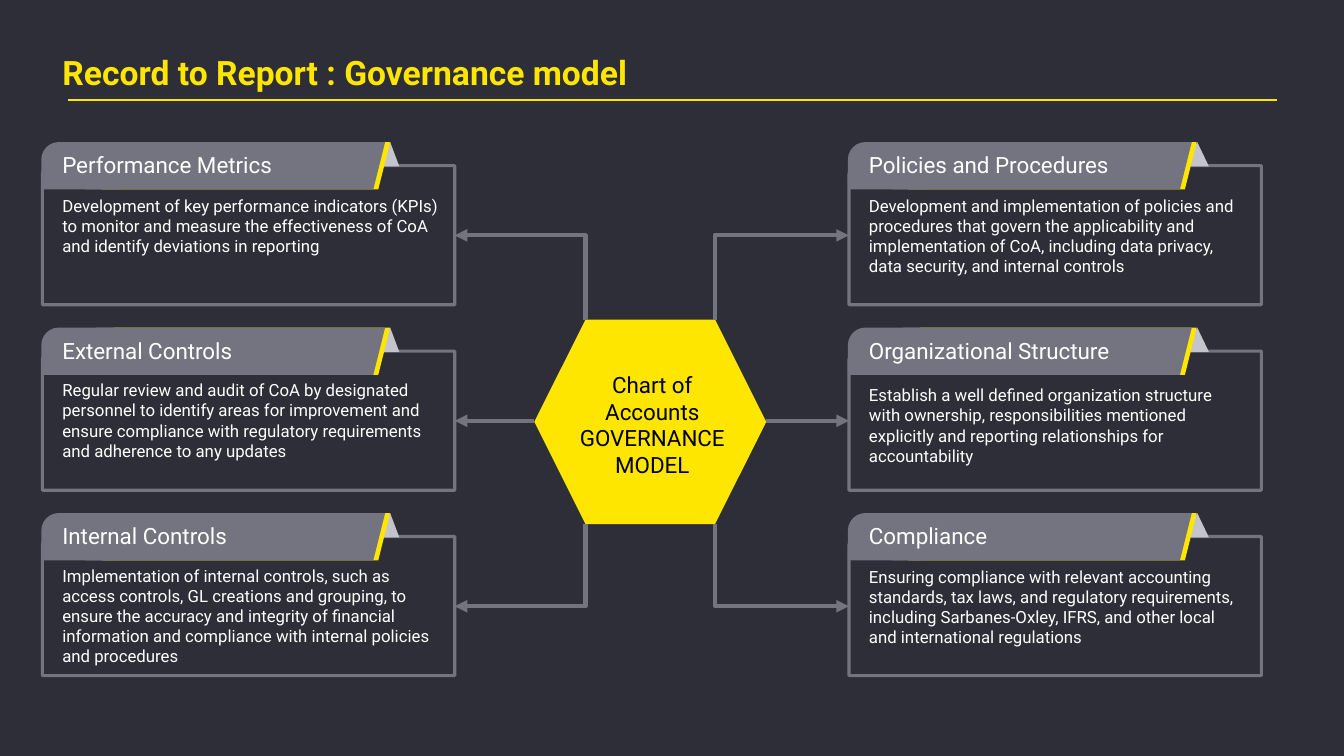
import pptx
import pptx.dml.color
import pptx.enum.shapes
import pptx.enum.text
import pptx.oxml
import pptx.oxml.ns
import pptx.util

SHAPES = pptx.enum.shapes.MSO_SHAPE
CONNECTORS = pptx.enum.shapes.MSO_CONNECTOR
CENTER = pptx.enum.text.PP_ALIGN.CENTER
YELLOW, GRAY, SILVER = "FFE600", "747480", "C4C4CD"
DARK, WHITE, BLACK = "2E2E38", "FFFFFF", "000000"


def color(value):
    return pptx.dml.color.RGBColor.from_string(value)


class SlideBuilder:
    """Places styled elements on a grid whose cells are a tenth of an inch."""

    font_name = "Roboto"

    def __init__(self, presentation):
        self.slide = presentation.slides.add_slide(presentation.slide_layouts[6])
        self.slide.background.fill.solid()
        self.slide.background.fill.fore_color.rgb = color(DARK)

    def grid(self, *cells):
        return [pptx.util.Inches(cell / 10) for cell in cells]

    def shape(self, kind, column, row, columns, rows, fill=None, outline=None, adjustments=()):
        shape = self.slide.shapes.add_shape(kind, *self.grid(column, row, columns, rows))
        shape.shadow.inherit = False
        for index, value in enumerate(adjustments):
            shape.adjustments[index] = value
        if fill:
            shape.fill.solid()
            shape.fill.fore_color.rgb = color(fill)
        else:
            shape.fill.background()
        if outline:
            shape.line.color.rgb = color(outline)
            shape.line.width = pptx.util.Pt(2.25)
        else:
            shape.line.fill.background()

    def text(self, words, column, row, columns, rows, size, fill=WHITE,
             bold=False, inset=True, alignment=None):
        box = self.slide.shapes.add_textbox(*self.grid(column, row, columns, rows))
        frame = box.text_frame
        frame.word_wrap = True
        if not inset:
            frame.margin_left = frame.margin_right = 0
            frame.margin_top = frame.margin_bottom = 0
        paragraph = frame.paragraphs[0]
        paragraph.alignment = alignment
        run = paragraph.add_run()
        run.text = words
        run.font.name = self.font_name
        run.font.size = pptx.util.Pt(size)
        run.font.bold = bold
        run.font.color.rgb = color(fill)

    def line(self, start, end, fill, width, bent=False, arrow=False):
        """Draw a line; a bent one runs level first, and the arrowhead is at start."""
        kind = CONNECTORS.ELBOW if bent else CONNECTORS.STRAIGHT
        connector = self.slide.shapes.add_connector(kind, *self.grid(*start, *end))
        connector.line.color.rgb = color(fill)
        connector.line.width = pptx.util.Pt(width)
        properties = connector._element.spPr
        if bent:
            properties.find(pptx.oxml.ns.qn("a:prstGeom")).set("prst", "bentConnector2")
        if arrow:
            head = pptx.oxml.parse_xml(
                f'<a:headEnd {pptx.oxml.ns.nsdecls("a")} type="triangle"/>')
            properties.find(pptx.oxml.ns.qn("a:ln")).append(head)
        properties.append(pptx.oxml.parse_xml(
            f'<a:effectLst {pptx.oxml.ns.nsdecls("a")}/>'))

    def card(self, column, row, fold, heading, body, body_drop):
        """Draw an outlined card with a folded heading tab; fold is (offset, width)."""
        self.shape(SHAPES.SNIP_ROUND_RECTANGLE, column + 0.1, row + 2.33, 40.9, 13.8,
                   outline=GRAY, adjustments=(0.062, 0))
        self.shape(SHAPES.ISOSCELES_TRIANGLE, column + fold[0], row, fold[1], 2.4, SILVER)
        self.shape(SHAPES.PARALLELOGRAM, column + 6, row, 28.6, 4.7, YELLOW)
        self.shape(SHAPES.PARALLELOGRAM, column + 4.3, row, 29.8, 4.7, GRAY)
        self.shape(SHAPES.SNIP_ROUND_RECTANGLE, column, row, 7.7, 4.7, GRAY,
                   adjustments=(0.369, 0))
        self.text(heading, column + 1.1, row + 0.45, 30, 3.7, 16)
        self.text(body, column + 1.1, row + body_drop, 39.3, 9.1, 12)


LEFT, RIGHT = 4.1, 84.1
FIRST_ROW, ROW_STEP = 14.1, 18.4
HEXAGON_LEFT, HEXAGON_TOP, HEXAGON_WIDTH, HEXAGON_HEIGHT = 53, 31.7, 23, 20.3
CORNER = HEXAGON_HEIGHT / 4

# For each side: card column, fold, card edge, hexagon corner, hexagon tip, cards
SIDES = [
    (LEFT, (33.7, 1.8), 45.1, HEXAGON_LEFT + CORNER, HEXAGON_LEFT, [
        ("Performance Metrics", "Development of key performance indicators (KPIs) to monitor and "
         "measure the effectiveness of CoA and identify deviations in reporting", 4.8),
        ("External Controls", "Regular review and audit of CoA by designated personnel to identify "
         "areas for improvement and ensure compliance with regulatory requirements and adherence "
         "to any updates", 4.7),
        ("Internal Controls", "Implementation of internal controls, such as access controls, GL "
         "creations and grouping, to ensure the accuracy and integrity of financial information "
         "and compliance with internal policies and procedures", 4.7),
    ]),
    (RIGHT, (33.5, 2.3), 84.2, HEXAGON_LEFT + HEXAGON_WIDTH - CORNER,
     HEXAGON_LEFT + HEXAGON_WIDTH, [
        ("Policies and Procedures", "Development and implementation of policies and procedures "
         "that govern the applicability and implementation of CoA, including data privacy, data "
         "security, and internal controls", 4.8),
        ("Organizational Structure", "Establish a well defined organization structure with "
         "ownership, responsibilities mentioned explicitly and reporting relationships for "
         "accountability", 5.2),
        ("Compliance", "Ensuring compliance with relevant accounting standards, tax laws, and "
         "regulatory requirements, including Sarbanes-Oxley, IFRS, and other local and "
         "international regulations", 4.8),
    ]),
]


def main():
    presentation = pptx.Presentation()
    presentation.slide_width = pptx.util.Inches(13.33)
    presentation.slide_height = pptx.util.Inches(7.5)
    builder = SlideBuilder(presentation)

    builder.line((6.7, 9.9), (126.7, 9.9), YELLOW, 1.5)
    builder.text("Record to Report : Governance model", 6.2, 5.1, 103.3, 4.5, 24, YELLOW,
                 bold=True, inset=False)
    builder.shape(SHAPES.HEXAGON, HEXAGON_LEFT, HEXAGON_TOP, HEXAGON_WIDTH, HEXAGON_HEIGHT, YELLOW)
    builder.text("Chart of Accounts GOVERNANCE MODEL", 55.8, 36.3, 17.8, 11.8, 16, BLACK,
                 alignment=CENTER)

    for column, fold, edge, corner, tip, cards in SIDES:
        for index, (heading, body, body_drop) in enumerate(cards):
            row = FIRST_ROW + index * ROW_STEP
            builder.card(column, row, fold, heading, body, body_drop)
            middle = row + 9.25
            targets = [(corner, HEXAGON_TOP), (tip, middle),
                       (corner, HEXAGON_TOP + HEXAGON_HEIGHT)]
            builder.line((edge, middle), targets[index], GRAY, 3, bent=index != 1, arrow=True)

    presentation.save("out.pptx")


if __name__ == "__main__":
    main()
